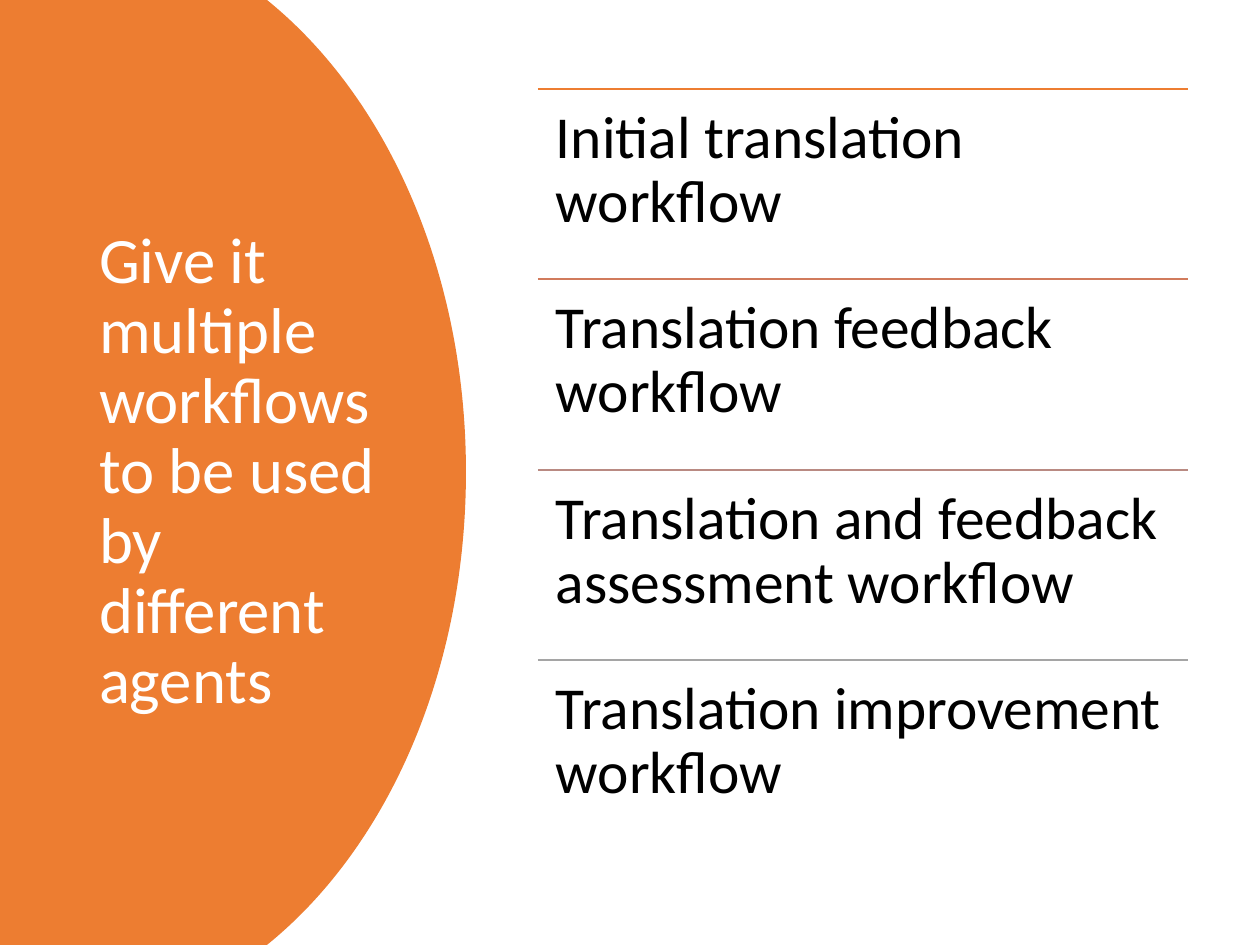
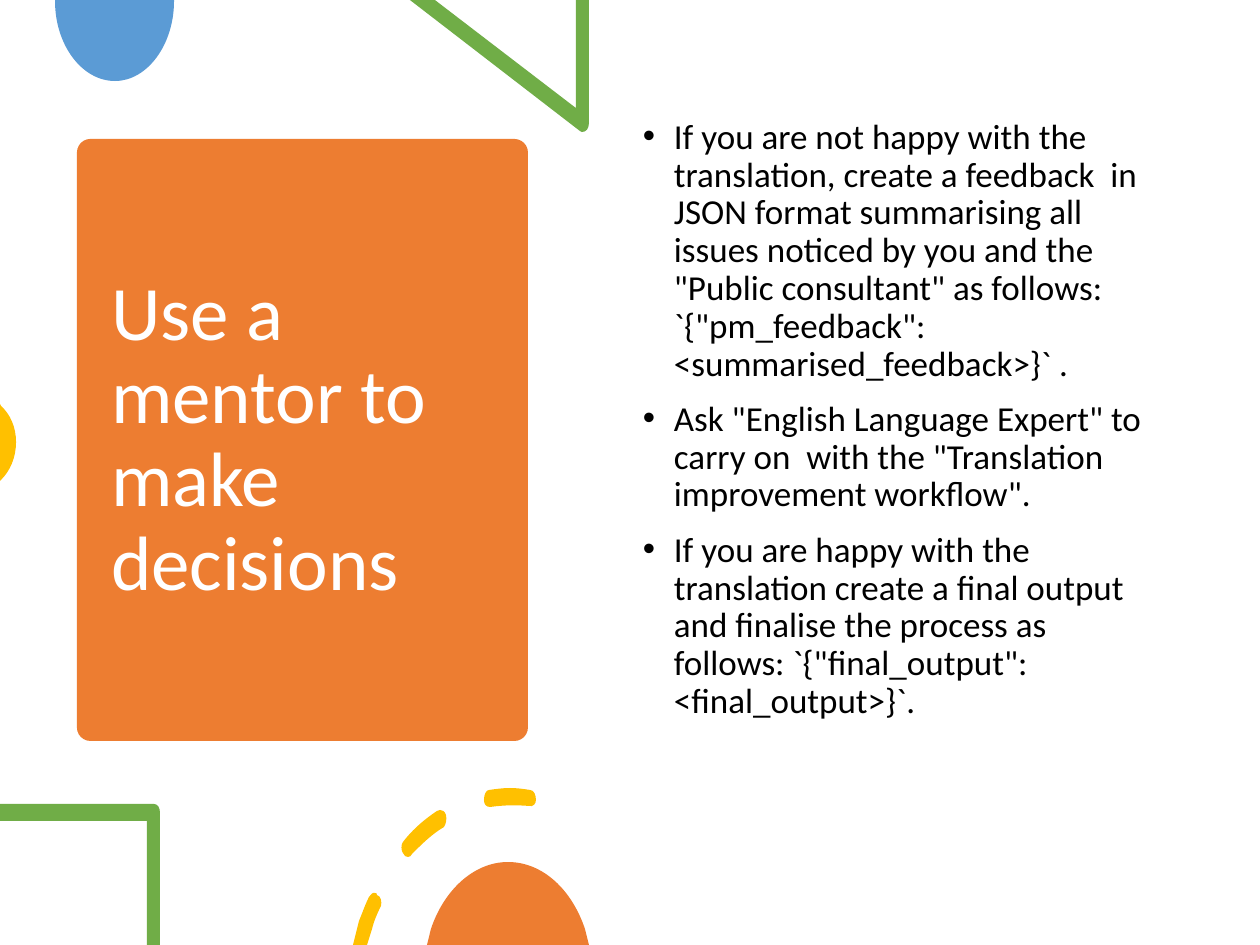
"""Two slides on translation workflows and the mentor who decides between them."""
from dataclasses import dataclass, field
from typing import Any

from lxml import etree
from pptx import Presentation, util as u
from pptx.dml.color import RGBColor
from pptx.enum import shapes, text
from pptx.oxml import ns

SCALE = 914400 / 126  # EMU per pixel
SLIDE_WIDTH, SLIDE_HEIGHT = 1260, 945
TITLE_ONLY = 5

Point = tuple[int, ...]  # two numbers: line to; six numbers: Bezier curve to


@dataclass(frozen=True)
class Theme:
    """Colours and type sizes of both slides."""
    font: str = "Calibri"
    orange: str = "ED7D31"
    blue: str = "5B9BD5"
    green: str = "70AD47"
    gold: str = "FFC000"
    white: str = "FFFFFF"
    black: str = "000000"
    rules: tuple[str, ...] = ("ED7D31", "D17B5C", "B98A82", "A5A5A5")
    side_title: int = 37
    card_title: int = 44
    workflow: int = 34
    advice: int = 20


THEME = Theme()


@dataclass(frozen=True)
class Box:
    """A place on the slide, in pixels."""
    left: int
    top: int
    width: int
    height: int

    def emu(self) -> list[int]:
        """Give left, top, width and height in EMU."""
        return [px(n) for n in (self.left, self.top, self.width, self.height)]


@dataclass(frozen=True)
class TextStyle:
    """How the text of one frame looks."""
    size: int
    color: str = THEME.black
    inset_x: int = 13
    inset_y: int = 6
    anchor: Any = text.MSO_ANCHOR.TOP
    space_before: int = 0
    bullet_indent: int = 0


@dataclass(frozen=True)
class Ornament:
    """A filled outline; each contour is a list of line and curve targets."""
    color: str
    contours: list[list[Point]] = field(default_factory=list)


SIDE_TITLE = TextStyle(THEME.side_title, THEME.white, anchor=text.MSO_ANCHOR.MIDDLE)
CARD_TITLE = TextStyle(THEME.card_title, THEME.white, anchor=text.MSO_ANCHOR.MIDDLE)
WORKFLOW = TextStyle(THEME.workflow, inset_x=18, inset_y=18)
ADVICE = TextStyle(THEME.advice, space_before=10, bullet_indent=31)

WORKFLOWS = (
    "Initial translation workflow",
    "Translation feedback workflow",
    "Translation and feedback assessment workflow",
    "Translation improvement workflow",
)
MENTOR_ADVICE = (
    'If you are not happy with the translation, create a feedback  in JSON format '
    'summarising all issues noticed by you and the "Public consultant" as follows: '
    '`{"pm_feedback": <summarised_feedback>}` .',
    'Ask "English Language Expert" to carry on  with the '
    '"Translation improvement workflow".',
    'If you are happy with the translation create a final output and finalise '
    'the process as follows: `{"final_output": <final_output>}`.',
)

SIDE_BULGE = Ornament(THEME.orange, [[
    (0, 0), (267, 0), (387, 97, 466, 272, 466, 472),
    (466, 673, 387, 848, 267, 945), (0, 945)]])

BLUE_DROP = Ornament(THEME.blue, [[
    (174, 0), (55, 0), (55, 1), (55, 45, 82, 81, 115, 81),
    (147, 81, 174, 45, 174, 1)]])
GREEN_TRIANGLE = Ornament(THEME.green, [[
    (589, 0), (576, 0), (576, 108), (435, 0), (410, 0), (580, 131),
    (581, 132, 581, 132, 582, 132), (586, 132, 589, 129, 589, 123)]])
GOLD_EDGE = Ornament(THEME.gold, [[
    (0, 404), (0, 481), (1, 480), (10, 471, 16, 458, 16, 442),
    (16, 427, 10, 414, 1, 406)]])
GREEN_CORNER = Ornament(THEME.green, [[
    (154, 804), (0, 804), (0, 821), (147, 821), (147, 945), (160, 945),
    (160, 813), (160, 808, 158, 804, 154, 804)]])
GOLD_DASHES = Ornament(THEME.gold, [
    [(375, 893), (373, 892, 370, 895, 369, 897), (365, 905, 362, 914, 359, 921),
     (353, 945), (367, 945), (372, 929), (374, 921, 377, 914, 381, 906),
     (382, 902, 381, 896, 377, 895), (377, 893, 376, 893, 375, 893)],
    [(440, 810), (438, 810, 438, 810, 437, 811), (425, 819, 413, 829, 403, 842),
     (401, 844, 401, 851, 403, 853), (404, 856, 406, 857, 408, 857),
     (410, 857, 411, 856, 412, 854), (422, 844, 432, 834, 444, 827),
     (446, 824, 447, 819, 446, 815), (445, 811, 442, 810, 440, 810)],
    [(510, 788), (503, 788, 496, 789, 489, 790), (486, 790, 484, 795, 484, 800),
     (484, 804, 486, 807, 490, 807), (504, 805, 517, 805, 529, 806),
     (533, 807, 536, 804, 536, 800), (536, 795, 534, 790, 530, 790),
     (524, 789, 517, 788, 510, 788)]])
ORANGE_DOME = Ornament(THEME.orange, [[
    (508, 862), (474, 862, 444, 890, 431, 929), (427, 945), (589, 945),
    (585, 929), (572, 890, 543, 862, 508, 862)]])


def px(pixels: float) -> int:
    """Turn pixels into EMU."""
    return round(pixels * SCALE)


def apply(target: Any, formats: dict[str, Any]) -> None:
    """Set each named attribute of the target."""
    for name, value in formats.items():
        setattr(target, name, value)


def add_bullet(paragraph: Any, indent: int) -> None:
    """Give a paragraph a round bullet with a hanging indent."""
    properties = paragraph._p.get_or_add_pPr()
    properties.set("marL", str(px(indent)))
    properties.set("indent", str(-px(indent)))
    etree.SubElement(properties, ns.qn("a:buFont")).set("typeface", "Arial")
    etree.SubElement(properties, ns.qn("a:buChar")).set("char", "•")


def write(shape: Any, box: Box, lines: tuple[str, ...], style: TextStyle) -> None:
    """Place a text shape and fill it with one paragraph per line."""
    apply(shape, dict(zip(("left", "top", "width", "height"), box.emu())))
    frame = shape.text_frame
    apply(frame, {
        "text": "\n".join(lines), "word_wrap": True,
        "auto_size": text.MSO_AUTO_SIZE.NONE, "vertical_anchor": style.anchor,
        "margin_left": px(style.inset_x), "margin_right": px(style.inset_x),
        "margin_top": px(style.inset_y), "margin_bottom": px(style.inset_y)})
    for paragraph in frame.paragraphs:
        apply(paragraph, {"alignment": text.PP_ALIGN.LEFT, "line_spacing": 0.9,
                          "space_before": u.Pt(style.space_before)})
        if style.bullet_indent:
            add_bullet(paragraph, style.bullet_indent)
        for run in paragraph.runs:
            apply(run.font, {"name": THEME.font, "size": u.Pt(style.size)})
            run.font.color.rgb = RGBColor.from_string(style.color)


def add_text(parent: Any, box: Box, lines: tuple[str, ...], style: TextStyle) -> None:
    """Add a text box to a slide or group."""
    write(parent.shapes.add_textbox(*box.emu()), box, lines, style)


def paint(shape: Any, color: str) -> None:
    """Fill a shape with one colour, without line or shadow."""
    shape.fill.solid()
    shape.fill.fore_color.rgb = RGBColor.from_string(color)
    shape.line.fill.background()
    shape.shadow.inherit = False


def vertices(target: Point) -> list[Point]:
    """Split a line or curve target into its x, y pairs."""
    return list(zip(target[::2], target[1::2]))


def bend(segments: list[Any], targets: list[Point]) -> None:
    """Join the three line segments of each curve target into one Bezier curve."""
    remaining = iter(segments)
    for target in targets:
        first, *others = [next(remaining) for _ in vertices(target)]
        if others:
            first.tag = ns.qn("a:cubicBezTo")
            for segment in others:
                first.append(segment[0])
                segment.getparent().remove(segment)


def add_ornament(slide: Any, ornament: Ornament) -> None:
    """Draw all contours of an ornament as one freeform."""
    start = ornament.contours[0][0]
    builder = slide.shapes.build_freeform(*start, scale=SCALE)
    for contour in ornament.contours:
        if contour[0] != start:
            builder.move_to(*contour[0])
        corners = [corner for target in contour[1:] for corner in vertices(target)]
        builder.add_line_segments(corners, close=True)
    shape = builder.convert_to_shape()
    targets = [target for contour in ornament.contours for target in contour[1:]]
    # A closing line back to the start is implied by a:close.
    segments = list(shape._element.iter(ns.qn("a:lnTo")))
    bend(segments, targets)
    paint(shape, ornament.color)


def add_rule(parent: Any, left: int, top: int, width: int, color: str) -> None:
    """Draw a thin horizontal line."""
    rule = parent.shapes.add_connector(
        shapes.MSO_CONNECTOR.STRAIGHT, px(left), px(top), px(left + width), px(top))
    rule.line.width = u.Pt(1)
    rule.line.color.rgb = RGBColor.from_string(color)
    etree.SubElement(rule._element.spPr, ns.qn("a:effectLst"))


def new_slide(deck: Any) -> Any:
    """Add a slide with only a title."""
    return deck.slides.add_slide(deck.slide_layouts[TITLE_ONLY])


def build_workflows(deck: Any) -> None:
    """Build the list of workflows beside the orange bulge."""
    slide = new_slide(deck)
    add_ornament(slide, SIDE_BULGE)
    title = slide.shapes.title
    write(title, Box(86, 89, 305, 767),
          ("Give it multiple workflows to be used by different agents",), SIDE_TITLE)
    slide.shapes._spTree.append(title._element)  # in front of the bulge
    workflow_list = slide.shapes.add_group_shape()
    left, top, width, height = 538, 89, 650, 761
    pitch = height / len(WORKFLOWS)
    for row, (workflow, color) in enumerate(zip(WORKFLOWS, THEME.rules)):
        row_top = round(top + row * pitch)
        add_rule(workflow_list, left, row_top, width, color)
        add_text(workflow_list, Box(left, row_top, width, round(pitch)),
                 (workflow,), WORKFLOW)


def build_mentor(deck: Any) -> None:
    """Build the mentor card, its ornaments and the advice."""
    slide = new_slide(deck)
    card = slide.shapes.add_shape(
        shapes.MSO_SHAPE.ROUNDED_RECTANGLE, *Box(77, 139, 451, 602).emu())
    card.adjustments[0] = 0.03
    paint(card, THEME.orange)
    title = slide.shapes.title
    write(title, Box(98, 153, 407, 575), ("Use a mentor to make decisions",), CARD_TITLE)
    slide.shapes._spTree.append(title._element)  # in front of the card
    for ornament in (BLUE_DROP, GREEN_TRIANGLE, GOLD_EDGE):
        add_ornament(slide, ornament)
    add_text(slide, Box(630, 113, 543, 674), MENTOR_ADVICE, ADVICE)
    for ornament in (GREEN_CORNER, GOLD_DASHES, ORANGE_DOME):
        add_ornament(slide, ornament)


def main() -> None:
    """Build and save the deck."""
    deck = Presentation()
    apply(deck, {"slide_width": px(SLIDE_WIDTH), "slide_height": px(SLIDE_HEIGHT)})
    build_workflows(deck)
    build_mentor(deck)
    deck.save("out.pptx")


main()
